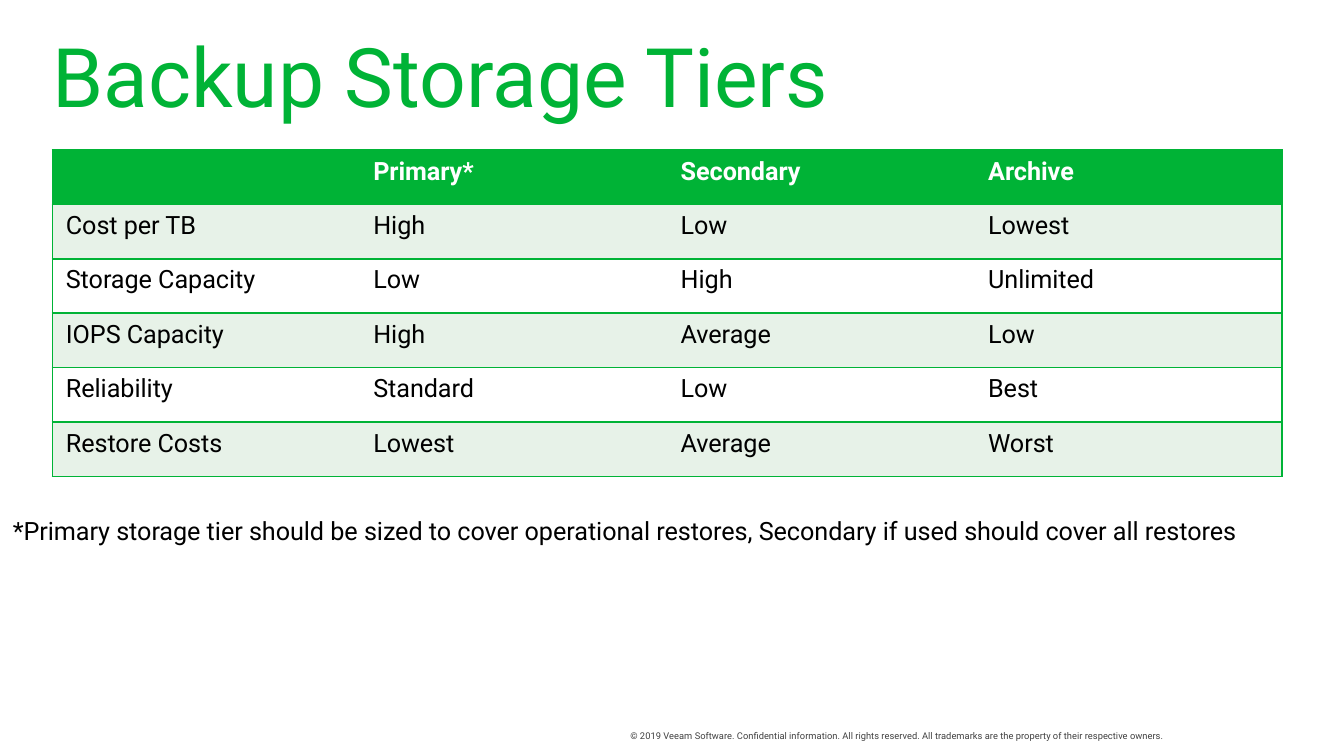
import pptx
import pptx.util
import pptx.dml.color
import pptx.enum.text
import pptx.oxml
import pptx.oxml.ns

Inch, Pt = pptx.util.Inches, pptx.util.Pt
Color = pptx.dml.color.RGBColor.from_string
Align, Anchor = pptx.enum.text.PP_ALIGN, pptx.enum.text.MSO_ANCHOR

THEME = {
    "font": "Roboto", "green": "00B336", "pale": "E7F2E8", "white": "FFFFFF",
    "black": "000000", "gray": "404040",
    "title": 44, "body": 13.5, "small": 5, "line": 1,
}
# A 16:9 slide; places are in percent of its width and height
WIDE = Inch(10)
HIGH = Inch(10 * 9 / 16)
X, Y = WIDE / 100, HIGH / 100
LEFT, SPAN = 3.9, 91.5

ROWS = [
    ["", "Primary*", "Secondary", "Archive"],
    ["Cost per TB", "High", "Low", "Lowest"],
    ["Storage Capacity", "Low", "High", "Unlimited"],
    ["IOPS Capacity", "High", "Average", "Low"],
    ["Reliability", "Standard", "Low", "Best"],
    ["Restore Costs", "Lowest", "Average", "Worst"],
]


def style(para, size, color, bold=False):
    look = {"name": THEME["font"], "size": Pt(THEME[size]), "bold": bold}
    for key, value in look.items():
        setattr(para.font, key, value)
    para.font.color.rgb = Color(THEME[color])


def write(shape, box, text, size, color, form):
    sides = ("left", "top", "width", "height")
    for key, value, unit in zip(sides, box, (X, Y, X, Y)):
        setattr(shape, key, round(value * unit))
    frame = shape.text_frame
    frame.text = text
    for key, value in form.items():
        setattr(frame, key, value)
    style(frame.paragraphs[0], size, color)
    return frame.paragraphs[0]


deck = pptx.Presentation()
deck.slide_width, deck.slide_height = WIDE, HIGH
slide = deck.slides.add_slide(deck.slide_layouts[5])
flush = {"margin_left": 0, "margin_right": 0, "margin_top": 0,
         "margin_bottom": 0, "vertical_anchor": Anchor.TOP}

# Title
para = write(slide.shapes.title, (LEFT, 3.38, SPAN, 10.85), "Backup Storage Tiers",
             "title", "green",
             {**flush, "word_wrap": True,
              "auto_size": pptx.enum.text.MSO_AUTO_SIZE.NONE})
para.alignment = Align.LEFT

# Table of tiers, with a plain style under the cell formats
count = len(ROWS[0])
frame = slide.shapes.add_table(len(ROWS), count, round(LEFT * X), round(19.85 * Y),
                               round(SPAN * X), round(43.2 * Y))
table = frame.table
plain = table._tbl.tblPr.find(pptx.oxml.ns.qn("a:tableStyleId"))
plain.text = "{2D5ABB26-0587-4C30-8999-92F81FD0307C}"
space = pptx.oxml.ns.nsdecls("a")

for r, row in enumerate(ROWS):
    head = r == 0
    fill = "green" if head else "pale" if r % 2 else "white"
    for c, text in enumerate(row):
        cell = table.cell(r, c)
        cell.text = text
        style(cell.text_frame.paragraphs[0], "body",
              "white" if head else "black", head)
        # Rules run across each row, and down the outer sides only
        sides = "L" * (c == 0) + "R" * (c == count - 1) + "TB"
        for side in sides:
            cell._tc.get_or_add_tcPr().append(pptx.oxml.parse_xml(
                f'<a:ln{side} {space} w="{Pt(THEME["line"])}"><a:solidFill>'
                f'<a:srgbClr val="{THEME["green"]}"/></a:solidFill></a:ln{side}>'))
        cell.fill.solid()
        cell.fill.fore_color.rgb = Color(THEME[fill])

# Footnote
note = slide.shapes.add_textbox(0, 0, 0, 0)
para = write(note, (-1.4, 67.2, 96.8, 5.87),
             "*Primary storage tier should be sized to cover operational restores, "
             "Secondary if used should cover all restores",
             "body", "black",
             {"word_wrap": True, "vertical_anchor": Anchor.MIDDLE,
              "margin_right": round(2 * X)})
para.alignment = Align.CENTER

# Copyright line
legal = slide.shapes.add_textbox(0, 0, 0, 0)
write(legal, (46.9, 96.53, 40.1, 1.42),
      "© 2019 Veeam Software. Confidential information. All rights reserved. "
      "All trademarks are the property of their respective owners.",
      "small", "gray", {**flush, "word_wrap": False})

deck.save("out.pptx")
